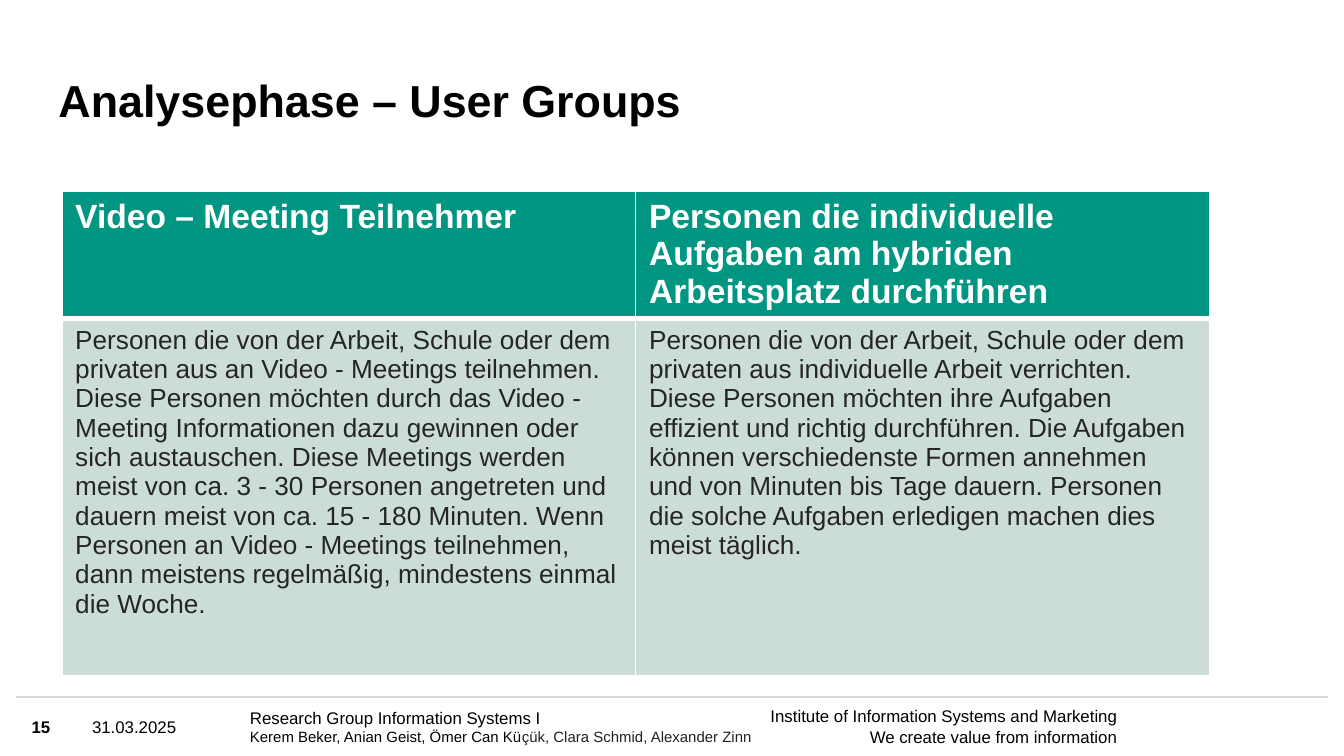
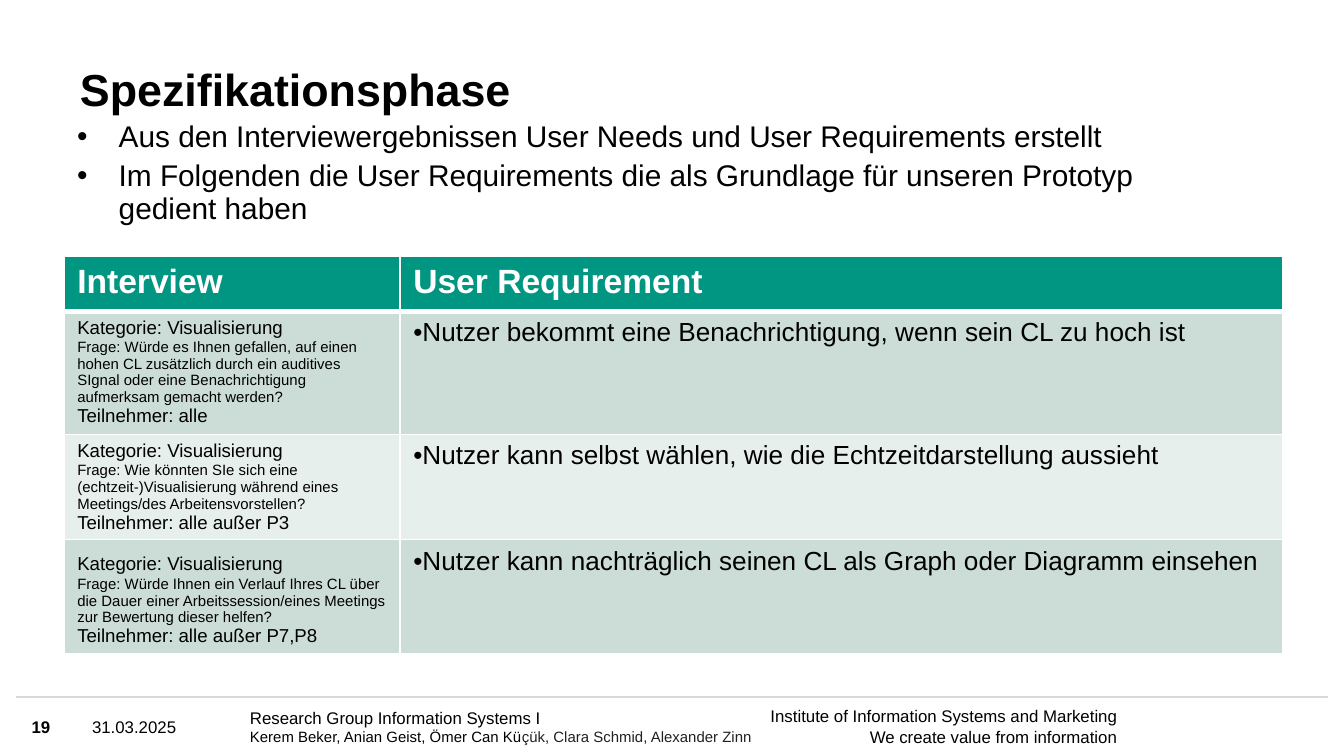
from dataclasses import dataclass, field

from lxml import etree
from pptx import Presentation
from pptx.dml.color import RGBColor
from pptx.enum.shapes import MSO_CONNECTOR
from pptx.enum.text import MSO_ANCHOR, MSO_AUTO_SIZE, PP_ALIGN
from pptx.oxml.ns import qn
from pptx.util import Pt

STRAIGHT = MSO_CONNECTOR.STRAIGHT
MIDDLE, BOTTOM = MSO_ANCHOR.MIDDLE, MSO_ANCHOR.BOTTOM
GROW = MSO_AUTO_SIZE.SHAPE_TO_FIT_TEXT
LEFT, RIGHT = PP_ALIGN.LEFT, PP_ALIGN.RIGHT

PX = 4572
SLIDE_W, SLIDE_H = 2000, 1125
RULE_Y, RULE_MARGIN = 1037, 24
FOOTER_Y, FOOTER_H = 1038, 86
TITLE_W, TITLE_H = 1502, 126
INDENT = 62


@dataclass(frozen=True)
class Theme:
    font: str = "Arial"
    rule: str = "D9D9D9"
    border: str = "FFFFFF"
    header: str = "009682"
    bands: tuple = ("CCDDD8", "E7EFED")
    thin: int = 1
    thick: int = 3
    tight: float = 0.9
    bullet_gap: float = 3.6
    text: dict = field(default_factory=lambda: {
        "title": (24, "000000", True),
        "header": (18, "FFFFFF", True),
        "bullet": (16, "000000", False),
        "group": (14, "252525", False),
        "requirement": (14, "000000", False),
        "label": (10, "000000", False),
        "question": (8, "000000", False),
        "footer": (9, "000000", False),
        "number": (9, "000000", True),
        "names": (8, "000000", False),
        "names_dark": (8, "202122", False),
    })


THEME = Theme()

FOOTER = [
    (372, 806, LEFT, [
        [("Research Group Information Systems I", "footer")],
        [("Kerem Beker, Anian Geist, Ömer Can Kü", "names"),
         ("çük, Clara Schmid, Alexander Zinn", "names_dark")],
    ]),
    (952, 710, RIGHT, [
        [("Institute of Information Systems and Marketing", "footer")],
        [("We create value from information", "footer")],
    ]),
    (137, 224, LEFT, [[("31.03.2025", "footer")]]),
]

GROUPS = [
    ("Video – Meeting Teilnehmer",
     "Personen die von der Arbeit, Schule oder dem privaten aus an Video - Meetings "
     "teilnehmen. Diese Personen möchten durch das Video - Meeting Informationen dazu "
     "gewinnen oder sich austauschen. Diese Meetings werden meist von ca. 3 - 30 Personen "
     "angetreten und dauern meist von ca. 15 - 180 Minuten. Wenn Personen an Video - "
     "Meetings teilnehmen, dann meistens regelmäßig, mindestens einmal die Woche."),
    ("Personen die individuelle Aufgaben am hybriden Arbeitsplatz durchführen",
     "Personen die von der Arbeit, Schule oder dem privaten aus individuelle Arbeit "
     "verrichten. Diese Personen möchten ihre Aufgaben effizient und richtig durchführen. "
     "Die Aufgaben können verschiedenste Formen annehmen und von Minuten bis Tage dauern. "
     "Personen die solche Aufgaben erledigen machen dies meist täglich."),
]

CATEGORY = ("Kategorie: Visualisierung", "label")
INTERVIEWS = [
    ([CATEGORY],
     "Würde es Ihnen gefallen, auf einen hohen CL zusätzlich durch ein auditives SIgnal "
     "oder eine Benachrichtigung aufmerksam gemacht werden?",
     "alle", "Nutzer bekommt eine Benachrichtigung, wenn sein CL zu hoch ist"),
    ([CATEGORY],
     "Wie könnten SIe sich eine (echtzeit-)Visualisierung während eines "
     "Meetings/des Arbeitensvorstellen?",
     "alle außer P3", "Nutzer kann selbst wählen, wie die Echtzeitdarstellung aussieht"),
    ([CATEGORY, (" ", "requirement")],
     "Würde Ihnen ein Verlauf Ihres CL über die Dauer einer Arbeitssession/eines Meetings "
     "zur Bewertung dieser helfen?",
     "alle außer P7,P8",
     "Nutzer kann nachträglich seinen CL als Graph oder Diagramm einsehen"),
]


def single(text, style):
    return [[(text, style)]]


def interview_row(category, question, people, requirement):
    return [
        [category, [(f"Frage: {question}", "question")],
         [(f"Teilnehmer: {people}", "label")]],
        single(f"•{requirement}", "requirement"),
    ]


SLIDES = [
    {
        "number": "15",
        "title": ("Analysephase – User Groups", 87, 64),
        "bullets": [],
        "table": {
            "at": (92, 284, 1708, 652), "cols": [854, 854], "rows": [120, 532],
            "cells": [
                [single(name, "header") for name, _ in GROUPS],
                [single(description, "group") for _, description in GROUPS],
            ],
        },
    },
    {
        "number": "19",
        "title": ("Spezifikationsphase", 119, 47),
        "bullets": [
            "Aus den Interviewergebnissen User Needs und User Requirements erstellt",
            "Im Folgenden die User Requirements die als Grundlage für unseren Prototyp "
            "gedient haben",
        ],
        "table": {
            "at": (95, 381, 1814, 622), "cols": [500, 1314], "rows": [82] * 4,
            "cells": [
                [single(name, "header") for name in ("Interview", "User Requirement")],
                *[interview_row(*interview) for interview in INTERVIEWS],
            ],
        },
    },
]
BULLETS_AT = (95, 172, 1664, 176)


def emu(*lengths):
    return [length * PX for length in lengths]


def rgb(color):
    return RGBColor.from_string(color)


def write(tf, paragraphs, align=LEFT, line_spacing=None):
    for i, runs in enumerate(paragraphs):
        p = tf.paragraphs[0] if i == 0 else tf.add_paragraph()
        p.alignment = align
        if line_spacing:
            p.line_spacing = line_spacing
        for text, style in runs:
            size, color, bold = THEME.text[style]
            r = p.add_run()
            r.text = text
            r.font.name = THEME.font
            r.font.size = Pt(size)
            r.font.bold = bold
            r.font.color.rgb = rgb(color)


def add_text(s, at, paragraphs, align=LEFT, anchor=MIDDLE, line_spacing=None):
    tf = s.shapes.add_textbox(*emu(*at)).text_frame
    tf.word_wrap = True
    tf.vertical_anchor = anchor
    tf.margin_left = tf.margin_right = tf.margin_top = tf.margin_bottom = 0
    write(tf, paragraphs, align, line_spacing)


def add_footer(s, number):
    line = s.shapes.add_connector(
        STRAIGHT, *emu(RULE_MARGIN, RULE_Y, SLIDE_W - RULE_MARGIN, RULE_Y))
    line.line.color.rgb = rgb(THEME.rule)
    line.line.width = Pt(THEME.thin)
    etree.SubElement(line._element.spPr, qn("a:effectLst"))
    for x, w, align, paragraphs in FOOTER + [(47, 72, LEFT, single(number, "number"))]:
        add_text(s, (x, FOOTER_Y, w, FOOTER_H), paragraphs, align)


def add_bullets(s, bullets):
    tf = s.shapes.add_textbox(*emu(*BULLETS_AT)).text_frame
    tf.word_wrap = True
    tf.auto_size = GROW
    write(tf, [[(text, "bullet")] for text in bullets], line_spacing=THEME.tight)
    for p in tf.paragraphs:
        p.space_before = Pt(THEME.bullet_gap)
        pPr = p._p.get_or_add_pPr()
        pPr.set("marL", str(INDENT * PX))
        pPr.set("indent", str(-INDENT * PX))
        etree.SubElement(pPr, qn("a:buFont"), typeface=THEME.font)
        etree.SubElement(pPr, qn("a:buChar"), char="•")


def set_borders(cell, row):
    top = THEME.thick if row == 1 else THEME.thin
    bottom = THEME.thick if row == 0 else THEME.thin
    tcPr = cell._tc.get_or_add_tcPr()
    for side, width in zip("LRTB", (THEME.thin, THEME.thin, top, bottom)):
        ln = etree.SubElement(tcPr, qn(f"a:ln{side}"), w=str(Pt(width)))
        fill = etree.SubElement(ln, qn("a:solidFill"))
        etree.SubElement(fill, qn("a:srgbClr"), val=THEME.border)


def add_table(s, at, cols, rows, cells):
    table = s.shapes.add_table(len(rows), len(cols), *emu(*at)).table
    for column, width in zip(table.columns, cols):
        column.width = width * PX
    for i, (row, height) in enumerate(zip(table.rows, rows)):
        row.height = height * PX
        color = THEME.bands[(i - 1) % 2] if i else THEME.header
        for cell, paragraphs in zip(row.cells, cells[i]):
            set_borders(cell, i)
            cell.margin_bottom = 0
            cell.fill.solid()
            cell.fill.fore_color.rgb = rgb(color)
            write(cell.text_frame, paragraphs)


def main():
    prs = Presentation()
    prs.slide_width, prs.slide_height = emu(SLIDE_W, SLIDE_H)
    for content in SLIDES:
        s = prs.slides.add_slide(prs.slide_layouts[6])
        add_footer(s, content["number"])
        add_table(s, **content["table"])
        title, x, y = content["title"]
        add_text(s, (x, y, TITLE_W, TITLE_H), single(title, "title"),
                 anchor=BOTTOM, line_spacing=THEME.tight)
        if content["bullets"]:
            add_bullets(s, content["bullets"])
    prs.save("out.pptx")


if __name__ == "__main__":
    main()
